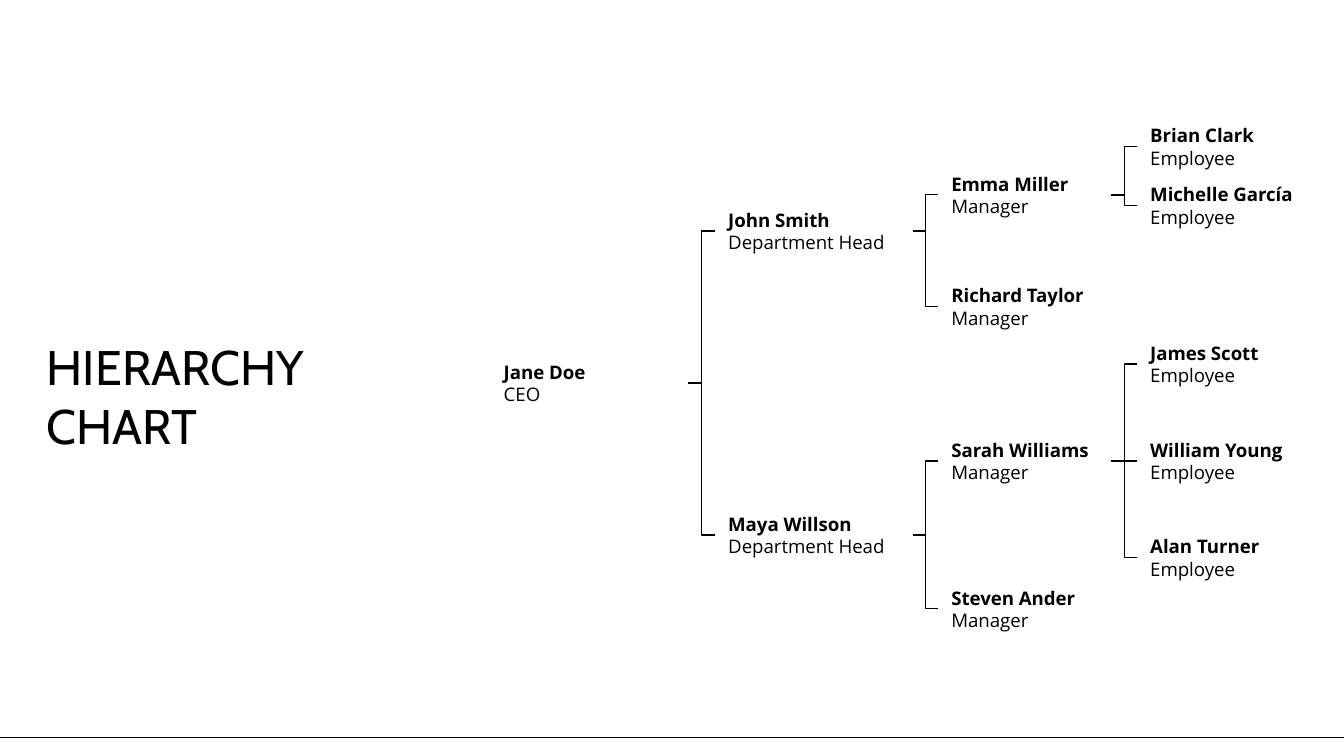
from dataclasses import dataclass

from lxml.etree import SubElement
from pptx import Presentation
from pptx.dml.color import RGBColor
from pptx.enum.shapes import MSO_CONNECTOR
from pptx.enum.text import MSO_ANCHOR
from pptx.oxml.ns import qn
from pptx.slide import Slide
from pptx.text.text import TextFrame, _Paragraph
from pptx.util import Inches, Pt

BLACK = RGBColor(0x00, 0x00, 0x00)
WHITE = RGBColor(0xFF, 0xFF, 0xFF)
TITLE_FONT = "Cabin"
BODY_FONT = "Open Sans"
SLIDE_WIDTH = 10
SLIDE_HEIGHT = SLIDE_WIDTH * 9 / 16
CARD_HEIGHT = 0.41
INSET = 0.1


@dataclass(frozen=True)
class Level:
    role: str
    left: float
    width: float

    @property
    def right(self) -> float:
        return self.left + self.width


@dataclass(frozen=True)
class Person:
    name: str
    middle: float  # vertical centre, in inches
    reports: tuple["Person", ...] = ()


LEVELS = (
    Level("CEO", 3.65, 1.47),
    Level("Department Head", 5.32, 1.47),
    Level("Manager", 6.98, 1.29),
    Level("Employee", 8.46, 1.29),
)

CEO = Person("Jane Doe", 2.85, (
    Person("John Smith", 1.72, (
        Person("Emma Miller", 1.45, (
            Person("Brian Clark", 1.09),
            Person("Michelle García", 1.53),
        )),
        Person("Richard Taylor", 2.28),
    )),
    Person("Maya Willson", 3.98, (
        Person("Sarah Williams", 3.43, (
            Person("James Scott", 2.71),
            Person("William Young", 3.43),
            Person("Alan Turner", 4.15),
        )),
        Person("Steven Ander", 4.53),
    )),
))


def add_text_frame(slide: Slide, left: float, top: float, width: float,
                   height: float, anchor: MSO_ANCHOR) -> TextFrame:
    box = slide.shapes.add_textbox(
        Inches(left), Inches(top), Inches(width), Inches(height))
    frame = box.text_frame
    frame.word_wrap = True
    frame.vertical_anchor = anchor
    frame.margin_left = frame.margin_right = Inches(INSET)
    frame.margin_top = frame.margin_bottom = Inches(INSET)
    return frame


def add_run(paragraph: _Paragraph, text: str, font_name: str, size: float,
            bold: bool = False) -> None:
    run = paragraph.add_run()
    run.text = text
    run.font.name = font_name
    run.font.size = Pt(size)
    run.font.bold = bold
    run.font.color.rgb = BLACK


def add_line(slide: Slide, x1: float, y1: float, x2: float, y2: float) -> None:
    """Draw a straight line when level, otherwise an elbow."""
    kind = MSO_CONNECTOR.STRAIGHT if y1 == y2 else MSO_CONNECTOR.ELBOW
    line = slide.shapes.add_connector(
        kind, Inches(x1), Inches(y1), Inches(x2), Inches(y2))
    line.line.color.rgb = BLACK
    line.line.width = Pt(0.75)
    SubElement(line._element.spPr, qn("a:effectLst"))


def add_branch(slide: Slide, person: Person, depth: int = 0) -> None:
    """Draw a person, then everyone below them with their connectors."""
    level = LEVELS[depth]
    frame = add_text_frame(slide, level.left, person.middle - CARD_HEIGHT / 2,
                           level.width, CARD_HEIGHT, MSO_ANCHOR.MIDDLE)
    add_run(frame.paragraphs[0], person.name, BODY_FONT, 10, bold=True)
    add_run(frame.add_paragraph(), level.role, BODY_FONT, 10)
    for report in person.reports:
        add_line(slide, level.right, person.middle,
                 LEVELS[depth + 1].left, report.middle)
        add_branch(slide, report, depth + 1)


def main() -> None:
    deck = Presentation()
    deck.slide_width = Inches(SLIDE_WIDTH)
    deck.slide_height = Inches(SLIDE_HEIGHT)
    slide = deck.slides.add_slide(deck.slide_layouts[6])
    slide.background.fill.solid()
    slide.background.fill.fore_color.rgb = WHITE

    add_line(slide, 0, 5.49, SLIDE_WIDTH, 5.49)
    title = add_text_frame(slide, 0.25, 2.41, 2.7, 1.08, MSO_ANCHOR.TOP)
    add_run(title.paragraphs[0], "HIERARCHY CHART", TITLE_FONT, 26)
    add_branch(slide, CEO)
    deck.save("out.pptx")


if __name__ == "__main__":
    main()
